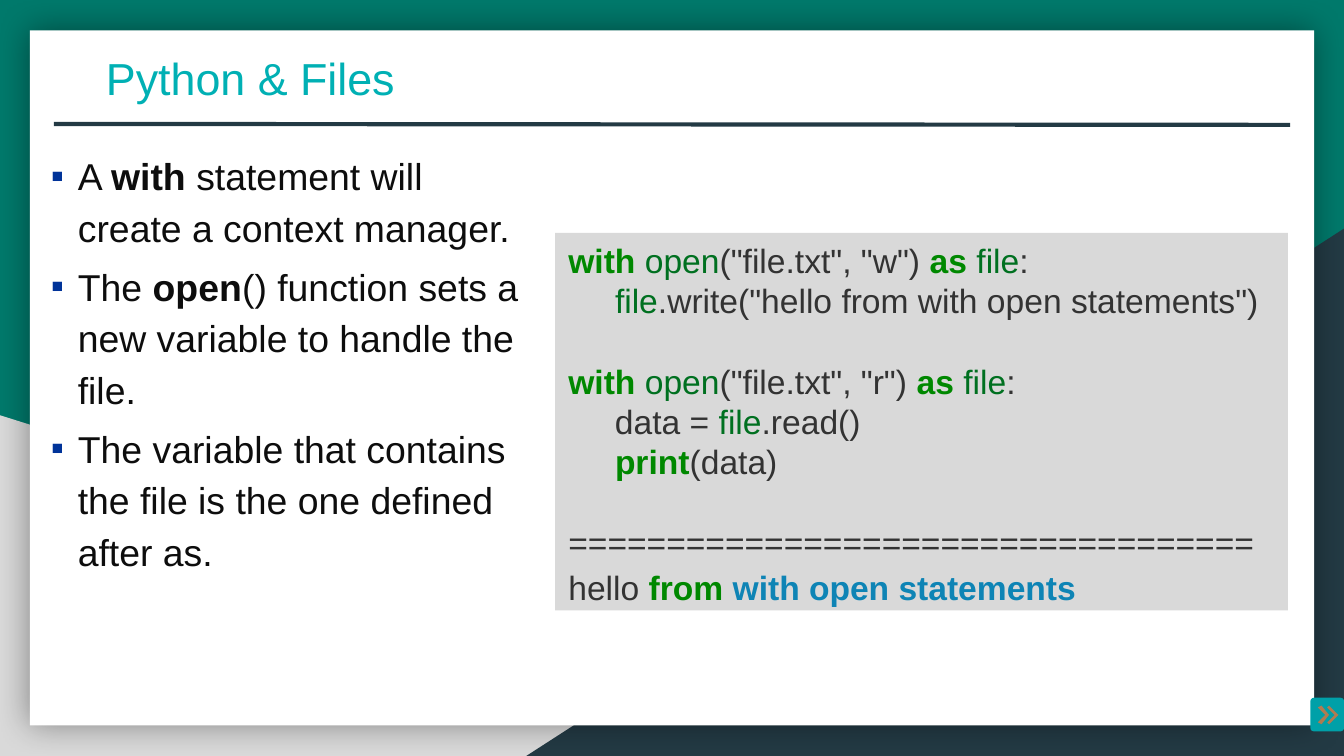
from lxml.etree import SubElement as add_element
from pptx import Presentation
from pptx.dml.color import RGBColor as Rgb
from pptx.enum.shapes import MSO_CONNECTOR as Connector, MSO_SHAPE as Shape
from pptx.enum.text import MSO_ANCHOR as Anchor
from pptx.oxml.ns import qn
from pptx.util import Pt

COLORS = {
    "green": "00796B", "grey": "D9D9D9", "navy": "233A44", "white": "FFFFFF",
    "black": "000000", "title": "00B0B4", "body": "0D0D0D", "bullet": "003399",
    "button": "00A0A8", "chevron": "AF7B51", "keyword": "008800",
    "name": "007020", "code": "333333", "module": "0E84B5",
}
BOLD = {"keyword", "module", "strong"}


class SlideStyle:
    font = "Arial"

    def __init__(self, page):
        self.page = page

    def color(self, name):
        return Rgb.from_string(COLORS[name])

    def background(self, color):
        fill = self.page.background.fill
        fill.solid()
        fill.fore_color.rgb = self.color(color)

    def paint(self, shape, color):
        shape.shadow.inherit = False
        shape.fill.solid()
        shape.fill.fore_color.rgb = self.color(color)
        shape.line.fill.background()
        return shape

    def shape(self, kind, bounds, color, flip=False):
        shape = self.page.shapes.add_shape(kind, *map(Pt, bounds))
        if flip:
            shape._element.spPr.xfrm.set("flipH", "1")
        return self.paint(shape, color)

    def glow(self, shape, blur, percent):
        effects = shape._element.spPr.find(qn("a:effectLst"))
        shadow = add_element(effects, qn("a:outerShdw"), blurRad=str(Pt(blur)),
                             dist="0", dir="0", algn="ctr", rotWithShape="0")
        tint = add_element(shadow, qn("a:srgbClr"), val=COLORS["black"])
        add_element(tint, qn("a:alpha"), val=str(percent * 1000))

    def outline(self, points, color):
        builder = self.page.shapes.build_freeform(*points[0], scale=Pt(1))
        builder.add_line_segments(points[1:], close=True)
        return self.paint(builder.convert_to_shape(), color)

    def line(self, start, end, color, width):
        line = self.page.shapes.add_connector(Connector.STRAIGHT, *map(Pt, start + end))
        line.line.color.rgb = self.color(color)
        line.line.width = Pt(width)
        add_element(line._element.spPr, qn("a:effectLst"))

    def text_box(self, bounds):
        return self.page.shapes.add_textbox(*map(Pt, bounds))

    def bullet(self, para, indent):
        properties = para._p.get_or_add_pPr()
        properties.set("marL", str(Pt(indent)))
        properties.set("indent", str(-Pt(indent)))
        tint = add_element(properties, qn("a:buClr"))
        add_element(tint, qn("a:srgbClr"), val=COLORS["bullet"])
        add_element(properties, qn("a:buFont"), typeface=self.font)
        add_element(properties, qn("a:buChar"), char="▪")

    def text(self, box, paragraphs, size, color, anchor=Anchor.TOP, indent=0):
        frame = box.text_frame
        frame.word_wrap = True
        frame.vertical_anchor = anchor
        for index, (spans, formats) in enumerate(paragraphs):
            para = frame.add_paragraph() if index else frame.paragraphs[0]
            if indent:
                self.bullet(para, indent)
            for name, value in ({"alignment": 1} | formats).items():
                setattr(para, name, value)
            for words, style in spans:
                span = para.add_run()
                span.text = words
                values = {"name": self.font, "size": Pt(size), "bold": style in BOLD}
                for name, value in values.items():
                    setattr(span.font, name, value)
                span.font.color.rgb = self.color(style if style in COLORS else color)


def open_line(mode):
    return [("with ", "keyword"), ("open", "name"), (f'("file.txt", "{mode}") ', "code"),
            ("as ", "keyword"), ("file", "name"), (":", "code")]


def main():
    deck = Presentation()
    deck.slide_width, deck.slide_height = Pt(720), Pt(405)
    style = SlideStyle(deck.slides.add_slide(deck.slide_layouts[6]))

    style.background("green")
    style.shape(Shape.RIGHT_TRIANGLE, (0, 222.5, 580, 182.5), "grey")
    style.shape(Shape.RIGHT_TRIANGLE, (282, 122.5, 438, 282.5), "navy", flip=True)
    panel = style.shape(Shape.RECTANGLE, (16, 16.3, 688, 372.4), "white")
    style.glow(panel, 18, 40)
    style.line((28.8, 66.4), (691.2, 66.9), "navy", 2.25)

    title = style.text_box((49.7, 27.4, 648, 28))
    style.text(title, [([("Python & Files", "")], {})], 24, "title", Anchor.MIDDLE)

    spaced = {"line_spacing": 1.15}
    later = spaced | {"space_before": Pt(4)}
    points = [
        ([("A ", ""), ("with ", "strong"),
          ("statement will create a context manager.", "")], spaced),
        ([("The ", ""), ("open", "strong"),
          ("() function sets a new variable to handle the file.", "")], later),
        ([("The variable that contains the file is the one defined after as.", "")],
         later | {"space_after": Pt(12)}),
    ]
    style.text(style.text_box((20.2, 74.9, 267.8, 260.6)), points, 20, "body", indent=14.4)

    button = style.shape(Shape.ROUNDED_RECTANGLE, (702, 373.8, 18, 18), "button")
    button.adjustments[0] = 0.1
    chevron = [(0, 1.1), (1.1, 0), (5.7, 5), (1.1, 10), (0, 8.9), (3.5, 5)]
    for left in (706.5, 711.4):
        style.outline([(left + x, 378 + y) for x, y in chevron], "chevron")

    gap = {"space_before": Pt(21.6)}
    code = [
        (open_line("w"), {}),
        ([("     ", "code"), ("file", "name"),
          ('.write("hello from with open statements")', "code")], {}),
        (open_line("r"), gap),
        ([("     data = ", "code"), ("file", "name"), (".read()", "code")], {}),
        ([("     ", "code"), ("print", "keyword"), ("(data)", "code")], {}),
        ([("=" * 35, "code")], gap),
        ([("hello ", "code"), ("from ", "keyword"),
          ("with open statements", "module")], {"line_spacing": 1.11}),
    ]
    listing = style.shape(Shape.RECTANGLE, (297.4, 124.8, 392.6, 202.2), "grey")
    style.text(listing, code, 18, "code")

    deck.save("out.pptx")


if __name__ == "__main__":
    main()
